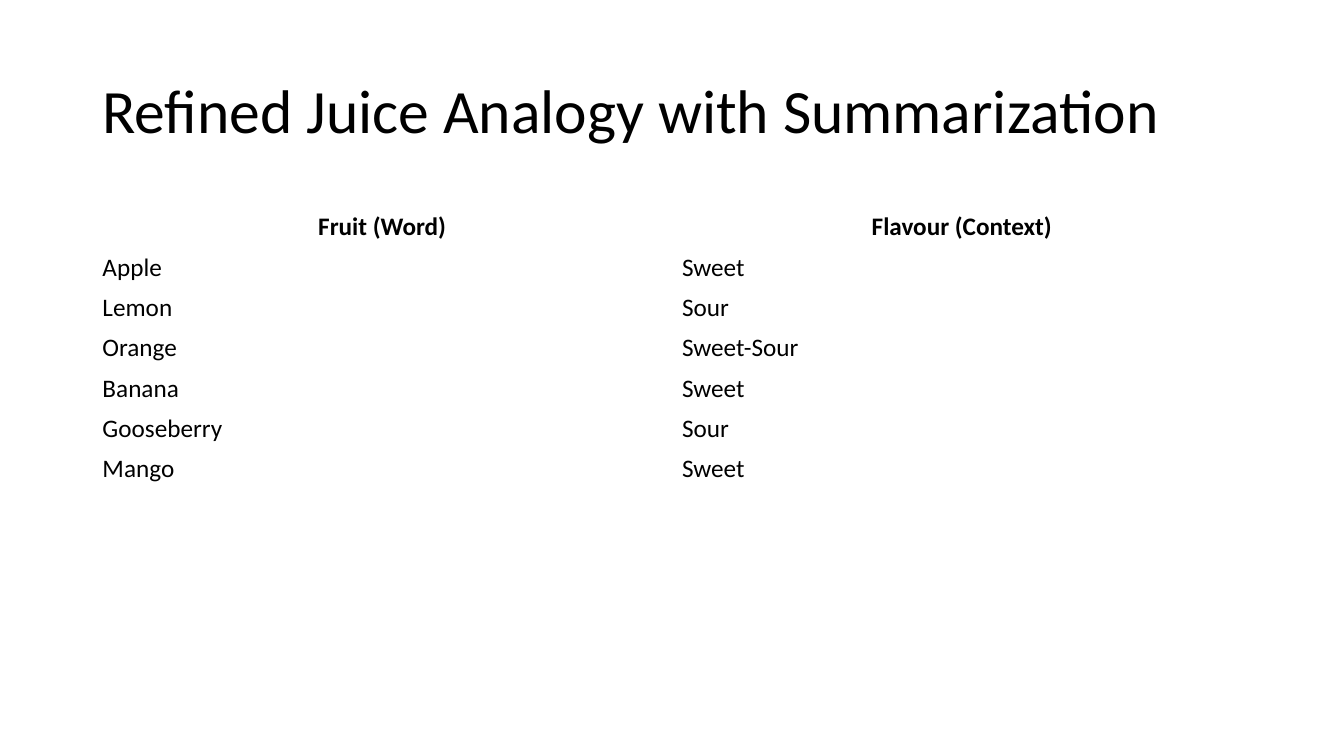
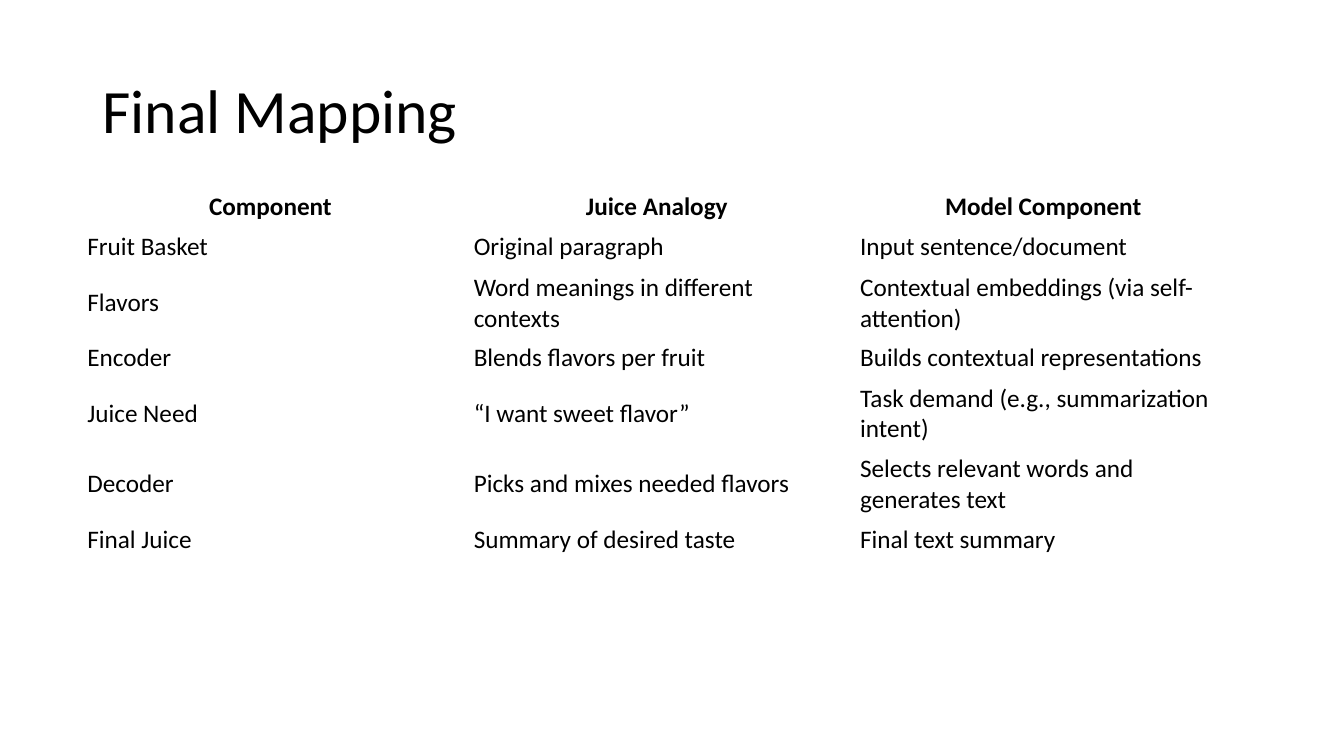
from dataclasses import dataclass

import pptx
import pptx.dml.color
import pptx.enum.text
import pptx.presentation
import pptx.slide
import pptx.text.text
import pptx.util

SLIDE_WIDTH = pptx.util.Inches(13.33)
SLIDE_HEIGHT = pptx.util.Inches(7.5)
GRID_COLUMNS, GRID_ROWS = 80, 45
BLANK_LAYOUT = 6

BLACK = pptx.dml.color.RGBColor(0x00, 0x00, 0x00)
MIDDLE = pptx.enum.text.MSO_ANCHOR.MIDDLE
LEFT = pptx.enum.text.PP_ALIGN.LEFT
CENTER = pptx.enum.text.PP_ALIGN.CENTER

TITLE_FONT = {"name": "Calibri", "size": pptx.util.Pt(44), "bold": False}
BODY_FONT = {"name": "Calibri", "size": pptx.util.Pt(18), "bold": False}
HEADER_FONT = {**BODY_FONT, "bold": True}
TABLE_FLAGS = {"first_row": False, "horz_banding": False}

CONTENT_COLUMNS = 69
TITLE_LEFT, TITLE_TOP, TITLE_ROWS = 5.5, 2.4, 8.7
TABLE_ROW = 2.4


@dataclass(frozen=True)
class TablePage:
    title: str
    left: float
    top: float
    header: tuple[str, ...]
    rows: tuple[tuple[str, ...], ...]


PAGES = (
    TablePage(
        "Refined Juice Analogy with Summarization",
        5.5,
        12.3,
        ("Fruit (Word)", "Flavour (Context)"),
        (
            ("Apple", "Sweet"),
            ("Lemon", "Sour"),
            ("Orange", "Sweet-Sour"),
            ("Banana", "Sweet"),
            ("Gooseberry", "Sour"),
            ("Mango", "Sweet"),
        ),
    ),
    TablePage(
        "Final Mapping",
        4.6,
        11.1,
        ("Component", "Juice Analogy", "Model Component"),
        (
            ("Fruit Basket", "Original paragraph", "Input sentence/document"),
            ("Flavors", "Word meanings in different contexts",
             "Contextual embeddings (via self-attention)"),
            ("Encoder", "Blends flavors per fruit", "Builds contextual representations"),
            ("Juice Need", "“I want sweet flavor”",
             "Task demand (e.g., summarization intent)"),
            ("Decoder", "Picks and mixes needed flavors",
             "Selects relevant words and generates text"),
            ("Final Juice", "Summary of desired taste", "Final text summary"),
        ),
    ),
)


def across(columns: float) -> int:
    return round(SLIDE_WIDTH * columns / GRID_COLUMNS)


def down(rows: float) -> int:
    return round(SLIDE_HEIGHT * rows / GRID_ROWS)


def write(frame: pptx.text.text.TextFrame, words: str, font: dict,
          alignment: pptx.enum.text.PP_ALIGN = LEFT, spacing: float = 1.0) -> None:
    frame.word_wrap = True
    paragraph = frame.paragraphs[0]
    paragraph.alignment = alignment
    paragraph.line_spacing = spacing
    run = paragraph.add_run()
    run.text = words
    for attribute, value in font.items():
        setattr(run.font, attribute, value)
    run.font.color.rgb = BLACK


def add_title(slide: pptx.slide.Slide, title: str) -> None:
    frame = slide.shapes.add_textbox(
        across(TITLE_LEFT), down(TITLE_TOP), across(CONTENT_COLUMNS), down(TITLE_ROWS)
    ).text_frame
    frame.vertical_anchor = MIDDLE
    write(frame, title, TITLE_FONT, spacing=0.9)


def add_comparison(slide: pptx.slide.Slide, page: TablePage) -> None:
    lines = (page.header, *page.rows)
    comparison = slide.shapes.add_table(
        len(lines), len(page.header), across(page.left), down(page.top),
        across(CONTENT_COLUMNS), down(TABLE_ROW * len(lines)),
    ).table
    for attribute, value in TABLE_FLAGS.items():
        setattr(comparison, attribute, value)
    for row, line in enumerate(lines):
        font, alignment = (BODY_FONT, LEFT) if row else (HEADER_FONT, CENTER)
        for column, words in enumerate(line):
            cell = comparison.cell(row, column)
            cell.fill.background()
            cell.vertical_anchor = MIDDLE
            write(cell.text_frame, words, font, alignment)


def add_page(deck: pptx.presentation.Presentation, page: TablePage) -> None:
    slide = deck.slides.add_slide(deck.slide_layouts[BLANK_LAYOUT])
    add_title(slide, page.title)
    add_comparison(slide, page)


def main() -> None:
    deck = pptx.Presentation()
    deck.slide_width, deck.slide_height = SLIDE_WIDTH, SLIDE_HEIGHT
    for page in PAGES:
        add_page(deck, page)
    deck.save("out.pptx")


if __name__ == "__main__":
    main()
